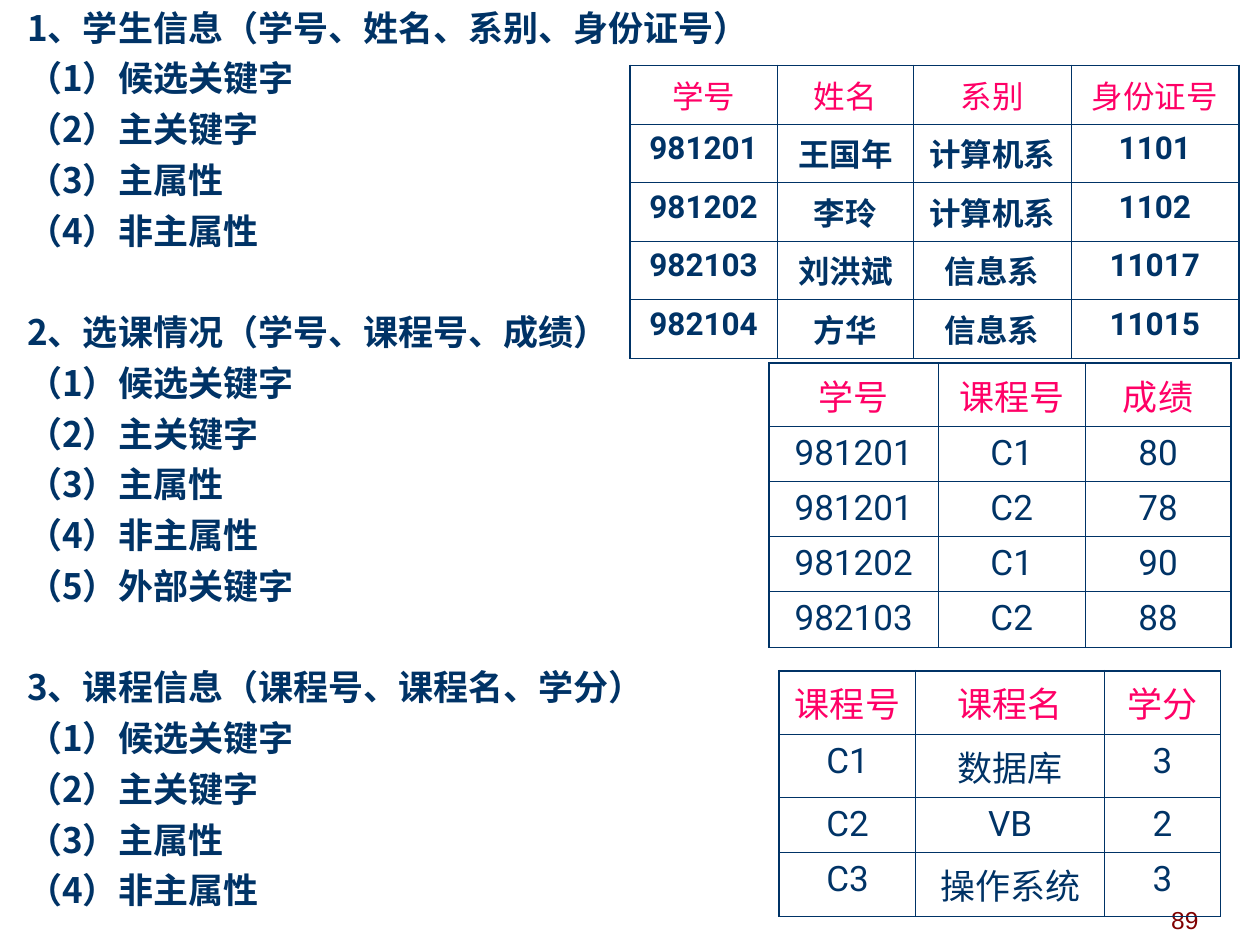
from dataclasses import dataclass

from pptx import Presentation
from pptx import util as u
from pptx.dml.color import RGBColor
from pptx.enum import shapes, text
from pptx.oxml.ns import qn
from lxml import etree


@dataclass(frozen=True)
class Theme:
    navy: str = "003366"
    pink: str = "FF0066"
    red: str = "800000"
    white: str = "FFFFFF"
    han: str = "Noto Sans CJK SC"
    latin: str = "Roboto"
    plain: str = "Arial"
    body: int = 20
    small: int = 18
    page: int = 14
    thin: float = 0.45
    thick: float = 1.08


THEME = Theme()
KEYS = ["候选关键字", "主关键字", "主属性", "非主属性"]
TOPICS = [
    ("1、学生信息（学号、姓名、系别、身份证号）", KEYS),
    ("2、选课情况（学号、课程号、成绩）", KEYS + ["外部关键字"]),
    ("3、课程信息（课程号、课程名、学分）", KEYS),
]
PUPILS = [
    ["学号", "姓名", "系别", "身份证号"],
    ["981201", "王国年", "计算机系", "1101"],
    ["981202", "李玲", "计算机系", "1102"],
    ["982103", "刘洪斌", "信息系", "11017"],
    ["982104", "方华", "信息系", "11015"],
]
MARKS = [
    ["学号", "课程号", "成绩"],
    ["981201", "C1", "80"],
    ["981201", "C2", "78"],
    ["981202", "C1", "90"],
    ["982103", "C2", "88"],
]
CLASSES = [
    ["课程号", "课程名", "学分"],
    ["C1", "数据库", "3"],
    ["C2", "VB", "2"],
    ["C3", "操作系统", "3"],
]
LOW, MID, TALL = 1.11, 1.18, 1.28


def style(para, size, color, face, bold=False):
    for run in para.runs:
        font = run.font
        font.size, font.bold, font.name = u.Pt(size), bold, face
        font.color.rgb = RGBColor.from_string(color)
        east = etree.SubElement(run._r.get_or_add_rPr(), qn("a:ea"))
        east.set("typeface", THEME.han)


def add_list(slide):
    """Add the outline: three headings, each with its numbered items."""
    box = slide.shapes.add_shape(shapes.MSO_SHAPE.RECTANGLE,
                                 u.Cm(0.3), 0, u.Cm(16.79), u.Cm(19.05))
    box.shadow.inherit = False
    box.fill.solid()
    box.fill.fore_color.rgb = RGBColor.from_string(THEME.white)
    box.line.fill.background()
    frame = box.text_frame
    frame.word_wrap = True
    frame.vertical_anchor = text.MSO_ANCHOR.TOP

    lines = []
    for head, items in TOPICS:
        lines.append((head, 34 if lines else 0))
        lines += [(f"（{n}）{item}", 5) for n, item in enumerate(items, 1)]
    frame.text = "\n".join(line for line, _ in lines)
    for para, (_, gap) in zip(frame.paragraphs, lines):
        para.alignment = text.PP_ALIGN.LEFT
        para.space_before = u.Pt(gap)
        style(para, THEME.body, THEME.navy, THEME.han, True)


def edge(cell, sides):
    """Draw the cell's borders; sides maps L, R, T, B to points."""
    props = cell._tc.get_or_add_tcPr()
    for side, width in sides.items():
        line = etree.SubElement(props, qn(f"a:ln{side}"), w=str(u.Pt(width)))
        fill = etree.SubElement(line, qn("a:solidFill"))
        etree.SubElement(fill, qn("a:srgbClr"), val=THEME.navy)


def add_grid(slide, rows, left, top, widths, highs, size, bold=False, right=THEME.thick):
    """Add a table with a pink head row; right is its outer right border."""
    shape = slide.shapes.add_table(len(rows), len(widths), u.Cm(left), u.Cm(top),
                                   u.Cm(sum(widths)), u.Cm(sum(highs)))
    table = shape.table
    table.first_row = table.horz_banding = False
    for col, width in zip(table.columns, widths):
        col.width = u.Cm(width)
    last = len(widths) - 1
    for r, (row, high) in enumerate(zip(rows, highs)):
        table.rows[r].height = u.Cm(high)
        for c, word in enumerate(row):
            cell = table.cell(r, c)
            edge(cell, {"L": THEME.thin if c else THEME.thick,
                        "R": right if c == last else THEME.thin,
                        "T": THEME.thin if r else THEME.thick,
                        "B": THEME.thin})
            cell.fill.background()
            cell.text_frame.text = word
            para = cell.text_frame.paragraphs[0]
            para.alignment = text.PP_ALIGN.CENTER
            style(para, size, THEME.navy if r else THEME.pink,
                  THEME.latin, bold and r > 0)


def add_page(slide, number):
    box = slide.shapes.add_textbox(u.Cm(18.31), u.Cm(17.7), u.Cm(6.1), u.Cm(1.27))
    frame = box.text_frame
    frame.word_wrap = True
    frame.vertical_anchor = text.MSO_ANCHOR.BOTTOM
    frame.text = number
    para = frame.paragraphs[0]
    para.alignment = text.PP_ALIGN.RIGHT
    style(para, THEME.page, THEME.red, THEME.plain)


def main():
    deck = Presentation()
    deck.slide_width, deck.slide_height = u.Cm(25.4), u.Cm(19.05)
    slide = deck.slides.add_slide(deck.slide_layouts[6])
    add_page(slide, "89")
    add_list(slide)
    add_grid(slide, PUPILS, 12.7, 1.32, [2.97, 2.74, 3.18, 3.38],
             [MID] * 5, THEME.small, bold=True)
    add_grid(slide, MARKS, 15.5, 7.32, [3.42, 2.95, 2.95],
             [TALL] + [LOW] * 4, THEME.body)
    add_grid(slide, CLASSES, 15.71, 13.52, [2.75, 3.81, 2.33],
             [TALL, TALL, LOW, TALL], THEME.body, right=THEME.thin)
    deck.save("out.pptx")


if __name__ == "__main__":
    main()
